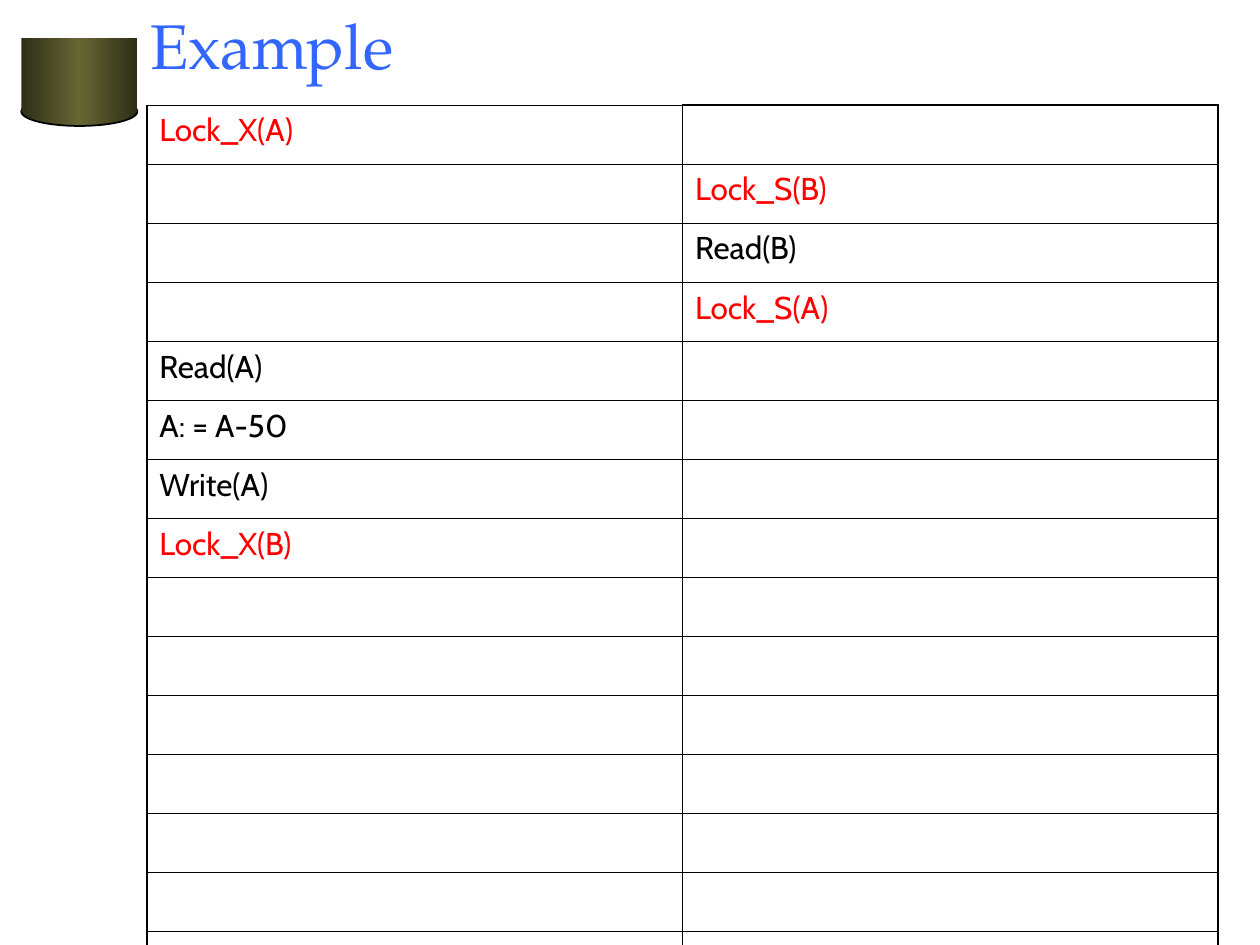
from copy import deepcopy

from lxml.etree import SubElement
from pptx import Presentation
from pptx.dml.color import RGBColor
from pptx.enum.shapes import MSO_SHAPE
from pptx.enum.text import MSO_ANCHOR, PP_ALIGN
from pptx.oxml.ns import qn
from pptx.util import Cm, Pt

BLACK = RGBColor(0x00, 0x00, 0x00)
RED = RGBColor(0xFF, 0x00, 0x00)
BLUE = RGBColor(0x33, 0x66, 0xFF)
OLIVE = RGBColor(0x66, 0x66, 0x33)
DARK_OLIVE = RGBColor(0x2F, 0x2F, 0x17)

THICK, THIN = Pt(1.08), Pt(0.45)
ROW_COUNT = 16

# (row, column) -> operation of the schedule, one column per transaction
SCHEDULE = {
    (0, 0): "Lock_X(A)",
    (1, 1): "Lock_S(B)",
    (2, 1): "Read(B)",
    (3, 1): "Lock_S(A)",
    (4, 0): "Read(A)",
    (5, 0): "A: = A-50",
    (6, 0): "Write(A)",
    (7, 0): "Lock_X(B)",
}


def write_text(text_frame, text, size=18, font="Cabin", color=BLACK):
    paragraph = text_frame.paragraphs[0]
    paragraph.text = text
    paragraph.alignment = PP_ALIGN.LEFT
    paragraph.font.size = Pt(size)
    paragraph.font.name = font
    paragraph.font.color.rgb = color


def add_olive_shape(shapes, kind, top, height):
    """Add one part of the cylinder, dark at both edges and light in the middle."""
    shape = shapes.add_shape(kind, Cm(0.43), Cm(top), Cm(2.34), Cm(height))
    shape.shadow.inherit = False
    shape.fill.gradient()
    shape.fill.gradient_angle = 0
    edge, middle = shape.fill.gradient_stops
    edge.position, edge.color.rgb = 0, DARK_OLIVE
    middle.position, middle.color.rgb = 0.5, OLIVE
    stop_list = shape.element.spPr.find(".//" + qn("a:gsLst"))
    last_stop = deepcopy(stop_list[0])
    last_stop.set("pos", "100000")
    stop_list.append(last_stop)
    return shape


def add_cylinder(slide):
    group = slide.shapes.add_group_shape()
    bottom = add_olive_shape(group.shapes, MSO_SHAPE.OVAL, 1.96, 0.58)
    bottom.line.color.rgb = BLACK
    bottom.line.width = Pt(1)
    body = add_olive_shape(group.shapes, MSO_SHAPE.RECTANGLE, 0.76, 1.5)
    body.line.fill.background()


def set_borders(cell, left, right, top, bottom):
    properties = cell._tc.get_or_add_tcPr()
    widths = {"a:lnL": left, "a:lnR": right, "a:lnT": top, "a:lnB": bottom}
    for tag, width in widths.items():
        line = SubElement(properties, qn(tag), w=str(int(width)))
        fill = SubElement(line, qn("a:solidFill"))
        SubElement(fill, qn("a:srgbClr"), val=str(BLACK))


def add_schedule(slide):
    table = slide.shapes.add_table(
        ROW_COUNT, 2, Cm(2.96), Cm(2.12), Cm(21.6), Cm(1.19 * ROW_COUNT)
    ).table
    table.first_row = False
    table.horz_banding = False
    for row_index, row in enumerate(table.rows):
        row.height = Cm(1.19)
        for column_index, cell in enumerate(row.cells):
            is_right = column_index == 1
            set_borders(
                cell,
                left=THIN if is_right else THICK,
                right=THICK if is_right else THIN,
                top=THICK if is_right and row_index == 0 else THIN,
                bottom=THICK if row_index == ROW_COUNT - 1 else THIN,
            )
            cell.fill.background()
            operation = SCHEDULE.get((row_index, column_index))
            if operation:
                # Lock requests stand out in red
                color = RED if operation.startswith("Lock") else BLACK
                write_text(cell.text_frame, operation, color=color)


def set_title(slide, text):
    title = slide.shapes.title
    title.left, title.top, title.width, title.height = Cm(2.77), Cm(0), Cm(5.84), Cm(1.78)
    title.text_frame.word_wrap = False
    title.text_frame.vertical_anchor = MSO_ANCHOR.TOP
    write_text(title.text_frame, text, size=36, font="TeX Gyre Pagella", color=BLUE)


def main():
    presentation = Presentation()
    presentation.slide_width = Cm(25.4)
    presentation.slide_height = Cm(19.05)
    # Title Only layout
    slide = presentation.slides.add_slide(presentation.slide_layouts[5])
    add_cylinder(slide)
    add_schedule(slide)
    set_title(slide, "Example")
    presentation.save("out.pptx")


if __name__ == "__main__":
    main()
